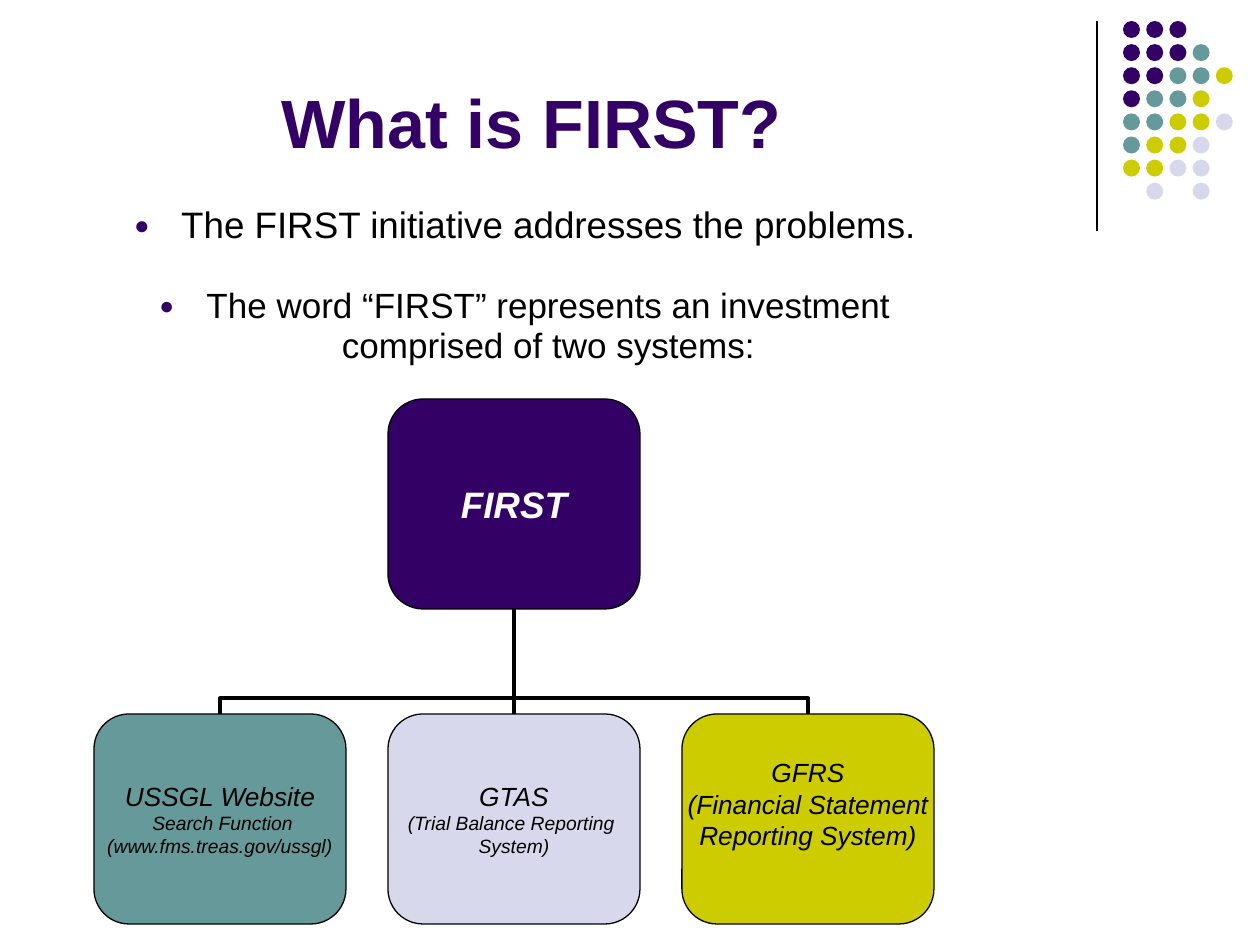
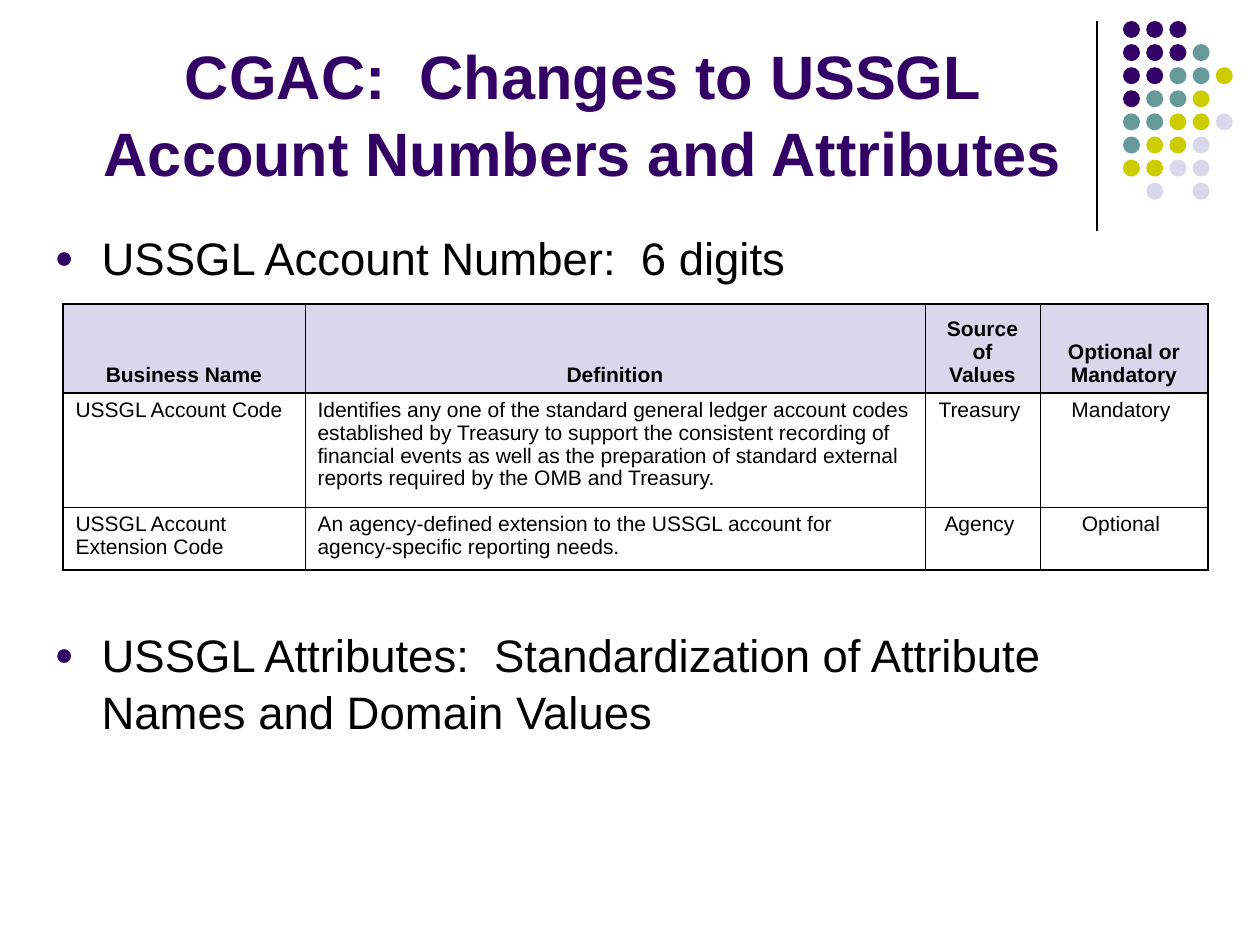
"""Builds two slides about the FIRST initiative and its account attributes."""
from lxml import etree
from pptx import Presentation
from pptx.dml.color import RGBColor
from pptx.enum.shapes import MSO_CONNECTOR, MSO_SHAPE
from pptx.enum.text import MSO_ANCHOR, MSO_AUTO_SIZE, PP_ALIGN
from pptx.oxml.ns import qn
from pptx.util import Pt

ELBOW, STRAIGHT = MSO_CONNECTOR.ELBOW, MSO_CONNECTOR.STRAIGHT
OVAL, ROUNDED = MSO_SHAPE.OVAL, MSO_SHAPE.ROUNDED_RECTANGLE
TOP, MIDDLE, BOTTOM = MSO_ANCHOR.TOP, MSO_ANCHOR.MIDDLE, MSO_ANCHOR.BOTTOM
LEFT, CENTER = PP_ALIGN.LEFT, PP_ALIGN.CENTER
NO_FIT = MSO_AUTO_SIZE.NONE

FONT = "Arial"
PURPLE, TEAL, OLIVE, LAVENDER = "330066", "669999", "CCCC00", "D8D8EC"
BLACK, WHITE = "000000", "FFFFFF"
DOT_COLORS = {"P": PURPLE, "T": TEAL, "O": OLIVE, "L": LAVENDER}
DOT_ROWS = ["PPP", "PPPT", "PPTTO", "PTTO", "TTOOL", "TOOL", "OOLL", " L L"]


def px(n):
    return round(n * 914400 / 126)


def rgb(color):
    return RGBColor.from_string(color)


def sub(parent, tag, **attrs):
    return etree.SubElement(parent, qn(tag), attrs)


class Deck:
    """Holds the shared style and the current slide."""

    def __init__(self):
        self.prs = Presentation()
        self.prs.slide_width, self.prs.slide_height = px(1260), px(945)
        self.slide = None

    def new_slide(self):
        self.slide = self.prs.slides.add_slide(self.prs.slide_layouts[1])
        self.line(STRAIGHT, (1097, 21), (1097, 231), 0.75)
        for row, dots in enumerate(DOT_ROWS):
            for col, key in enumerate(dots):
                if key in DOT_COLORS:
                    box = (1123 + 23.2 * col, 21 + 23.1 * row, 17, 17)
                    self.shape(OVAL, box, DOT_COLORS[key])

    def place(self, sp, box):
        sp.left, sp.top, sp.width, sp.height = map(px, box)

    def run(self, p, text, size, color=BLACK, bold=False, italic=False):
        r = p.add_run()
        r.text = text
        r.font.name, r.font.size = FONT, Pt(size)
        r.font.bold, r.font.italic = bold, italic
        r.font.color.rgb = rgb(color)

    def paragraph(self, tf, index):
        return tf.add_paragraph() if index else tf.paragraphs[0]

    def title(self, text, box, size):
        sp = self.slide.shapes.title
        self.place(sp, box)
        tf = sp.text_frame
        tf.auto_size, tf.vertical_anchor = NO_FIT, BOTTOM
        p = tf.paragraphs[0]
        p.alignment, p.line_spacing = CENTER, 1.04
        self.run(p, text, size, PURPLE, bold=True)

    def bullets(self, items, box, align, spacing):
        sp = self.slide.placeholders[1]
        self.place(sp, box)
        tf = sp.text_frame
        tf.auto_size = NO_FIT
        for i, (text, size, before) in enumerate(items):
            p = self.paragraph(tf, i)
            pPr = p._p.get_or_add_pPr()
            pPr.set("marL", str(px(47)))
            pPr.set("indent", str(-px(47)))
            sub(sub(pPr, "a:buClr"), "a:srgbClr", val=PURPLE)
            sub(pPr, "a:buSzPct", val="70000")
            sub(pPr, "a:buFont", typeface=FONT)
            sub(pPr, "a:buChar", char="●")
            p.alignment, p.line_spacing = align, spacing
            p.space_before = Pt(before)
            self.run(p, text, size)

    def shape(self, kind, box, fill):
        sp = self.slide.shapes.add_shape(kind, *map(px, box))
        sp.shadow.inherit = False
        sp.fill.solid()
        sp.fill.fore_color.rgb = rgb(fill)
        sp.line.fill.background()
        return sp

    def node(self, lines, x, y, fill, color=BLACK, bold=False, pad_bottom=0):
        sp = self.shape(ROUNDED, (x, y, 252, 210), fill)
        sp.line.color.rgb = rgb(BLACK)
        sp.line.width = Pt(0.75)
        tf = sp.text_frame
        tf.word_wrap, tf.vertical_anchor = False, MIDDLE
        tf.margin_left = tf.margin_right = tf.margin_top = 0
        tf.margin_bottom = px(pad_bottom)
        for i, (text, size) in enumerate(lines):
            p = self.paragraph(tf, i)
            p.alignment = CENTER
            self.run(p, text, size, color, bold, italic=True)
        return sp

    def line(self, kind, start, end, width):
        c = self.slide.shapes.add_connector(kind, *map(px, start + end))
        c.line.color.rgb = rgb(BLACK)
        c.line.width = Pt(width)
        sub(c._element.spPr, "a:effectLst")
        return c

    def branch(self, child, parent):
        dx = child.left - parent.left
        c = self.line(ELBOW if dx else STRAIGHT, (0, 0), (0, 0), 2.25)
        c.begin_connect(child, 0)
        c.end_connect(parent, 2)
        if dx:
            bottom = parent.top + parent.height
            rise = child.top - bottom
            mid_x = parent.left + (parent.width + dx) // 2
            mid_y = bottom + rise // 2
            c.begin_x, c.begin_y = mid_x - rise // 2, mid_y + dx // 2
            c.end_x, c.end_y = mid_x + rise // 2, mid_y - dx // 2
            c.rotation = 270
            guides = c._element.spPr.find(qn("a:prstGeom")).get_or_add_avLst()
            sub(guides, "a:gd", name="adj1", fmla="val 14900")

    def borders(self, cell, **widths):
        for side, width in widths.items():
            ln = sub(cell._tc.get_or_add_tcPr(), f"a:ln{side}", w=str(Pt(width)))
            sub(sub(ln, "a:solidFill"), "a:srgbClr", val=BLACK)

    def table(self, rows, x, y, widths, heights):
        box = (x, y, sum(widths), sum(heights))
        frame = self.slide.shapes.add_table(len(rows), len(widths), *map(px, box))
        tbl = frame.table
        tbl.first_row = tbl.horz_banding = False
        for col, width in zip(tbl.columns, widths):
            col.width = px(width)
        for row, height in zip(tbl.rows, heights):
            row.height = px(height)
        thin, thick = 0.34, 0.96
        last_row, last_col = len(rows) - 1, len(widths) - 1
        for r, texts in enumerate(rows):
            for c, text in enumerate(texts):
                cell = tbl.cell(r, c)
                header = r == 0
                self.borders(cell,
                             L=thin if c else thick,
                             R=thick if c == last_col else thin,
                             T=thick if r <= 1 else thin,
                             B=thick if r in (0, last_row) else thin)
                cell.fill.solid()
                cell.fill.fore_color.rgb = rgb(LAVENDER if header else WHITE)
                cell.vertical_anchor = BOTTOM if header else TOP
                p = cell.text_frame.paragraphs[0]
                p.alignment = CENTER if header or c > 1 else LEFT
                p.line_spacing = 0.97
                self.run(p, text, 12, bold=header)


def first_slide(deck):
    deck.new_slide()
    deck.title("What is FIRST? ", (21, 42, 1040, 126), 39)
    deck.bullets([
        ("The FIRST initiative addresses the problems.", 21, 0),
        ("The word “FIRST” represents an investment comprised of two systems:",
         20, 22.5),
    ], (63, 199, 924, 173), CENTER, 0.95)
    root = deck.node([("FIRST", 21)], 388, 399, PURPLE, WHITE, bold=True)
    systems = [
        ([("USSGL Website", 15), (" Search Function", 11),
          ("(www.fms.treas.gov/ussgl)", 11)], TEAL, 0),
        ([("GTAS", 15), ("(Trial Balance Reporting ", 11), ("System)", 11)],
         LAVENDER, 0),
        ([("GFRS", 15), ("(Financial Statement", 15),
          ("Reporting System)", 15)], OLIVE, 30),
    ]
    for i, (lines, fill, pad) in enumerate(systems):
        child = deck.node(lines, 94 + 294 * i, 714, fill, pad_bottom=pad)
        deck.branch(child, root)


def second_slide(deck):
    deck.new_slide()
    deck.title("CGAC:  Changes to USSGL Account Numbers and Attributes",
               (63, 17, 1040, 178), 35)
    deck.bullets([
        ("USSGL Account Number:  6 digits", 26, 0),
        ("USSGL Attributes:  Standardization of Attribute Names and "
         "Domain Values", 26, 194),
    ], (42, 221, 1155, 607), LEFT, 1.05)
    deck.table([
        ["Business Name", "Definition", "Source of Values",
         "Optional or Mandatory"],
        ["USSGL Account Code",
         "Identifies any one of the standard general ledger account codes "
         "established by Treasury to support the consistent recording of "
         "financial events as well as the preparation of standard external "
         "reports required by the OMB and Treasury.",
         "Treasury ", "Mandatory "],
        ["USSGL Account Extension Code",
         "An agency-defined extension to the USSGL account for "
         "agency-specific reporting needs.",
         "Agency ", "Optional "],
    ], 63, 304, [242, 620, 115, 168], [89, 114, 63])


def main():
    deck = Deck()
    first_slide(deck)
    second_slide(deck)
    deck.prs.save("out.pptx")


if __name__ == "__main__":
    main()
